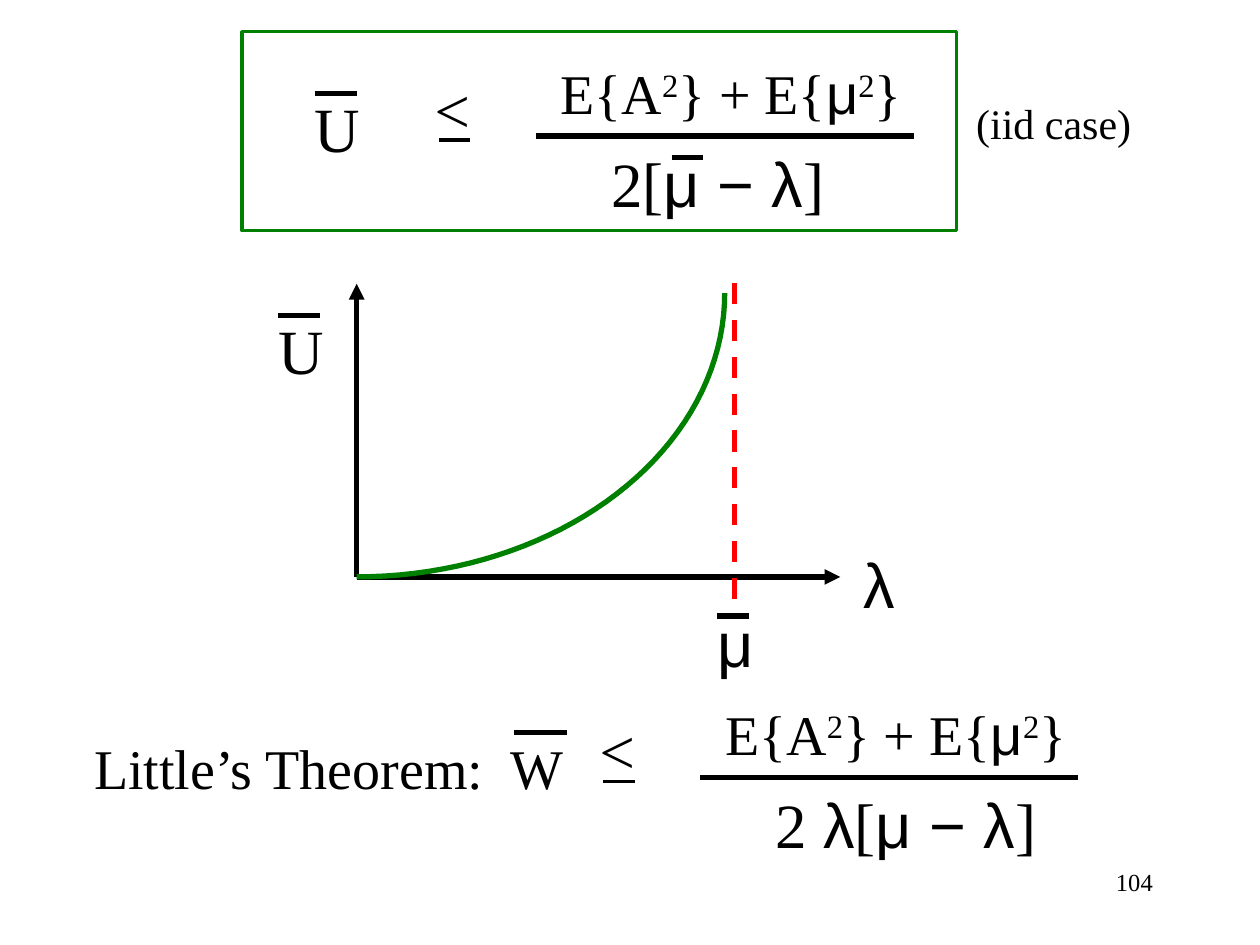
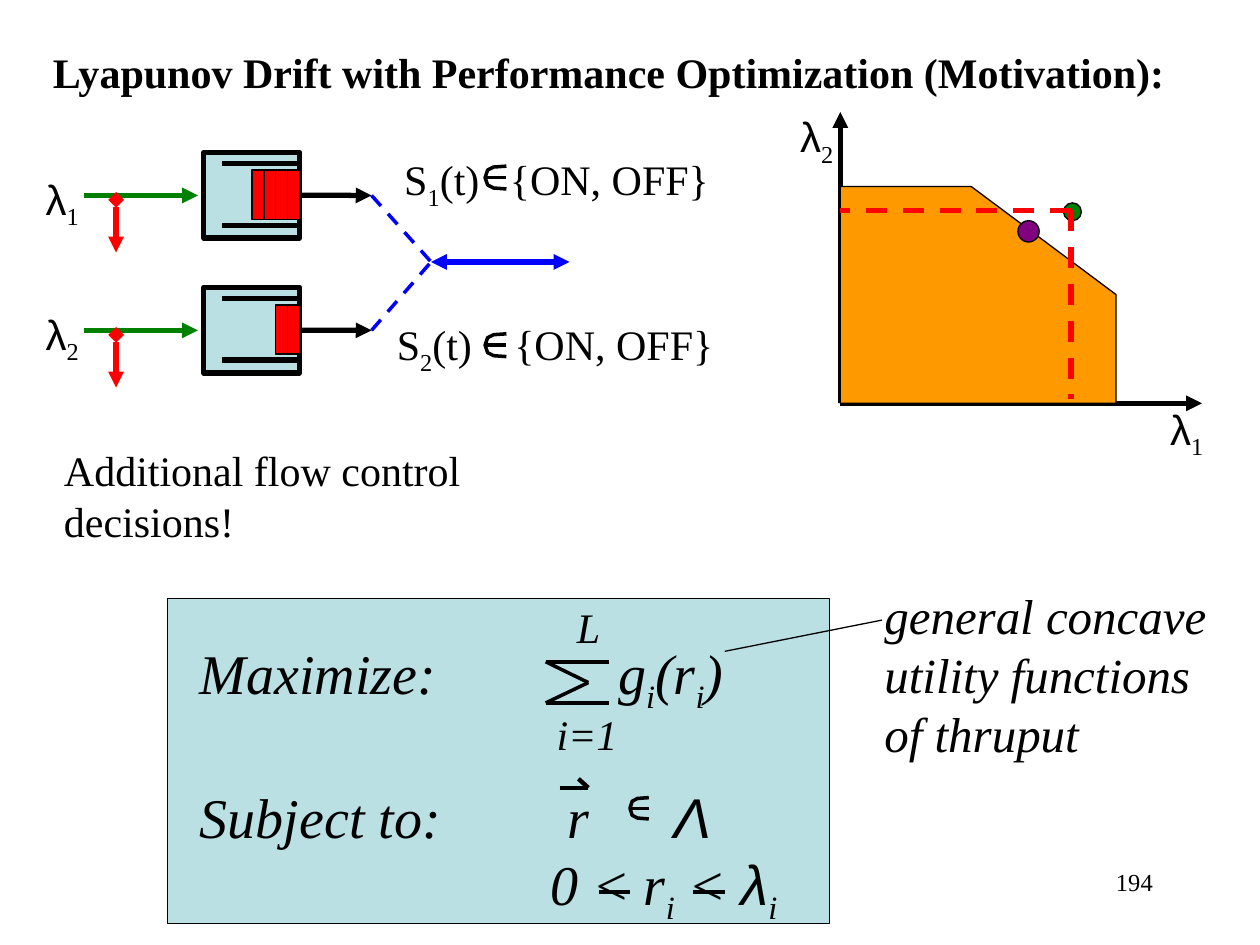
from dataclasses import dataclass
from math import cos, pi, sin

from lxml.etree import SubElement
from pptx import Presentation
from pptx.dml.color import RGBColor
from pptx.enum.dml import MSO_LINE
from pptx.enum.shapes import MSO_CONNECTOR, MSO_SHAPE
from pptx.enum.text import MSO_ANCHOR, MSO_AUTO_SIZE, PP_ALIGN
from pptx.oxml.ns import qn
from pptx.util import Cm, Pt


@dataclass(frozen=True)
class Theme:
    black: RGBColor = RGBColor(0, 0, 0)
    green: RGBColor = RGBColor(0, 128, 0)
    red: RGBColor = RGBColor(255, 0, 0)
    blue: RGBColor = RGBColor(0, 0, 255)
    pale: RGBColor = RGBColor(0xBB, 0xE0, 0xE3)
    orange: RGBColor = RGBColor(0xFF, 0x99, 0)
    purple: RGBColor = RGBColor(128, 0, 128)
    serif: str = "Times New Roman"
    sans: str = "Arial"
    math: int = 36
    large: int = 32
    note: int = 28
    body: int = 24
    small: int = 14
    thick: float = 3
    mid: float = 2
    thin: float = 0.75


theme = Theme()


def rule(slide, x1, y1, x2, y2, color=theme.black, width=theme.thick,
         dash=False, head=None, tail=None):
    line = slide.shapes.add_connector(
        MSO_CONNECTOR.STRAIGHT, Cm(x1), Cm(y1), Cm(x2), Cm(y2))
    line.line.color.rgb = color
    line.line.width = Pt(width)
    if dash:
        line.line.dash_style = MSO_LINE.DASH
    props = line.element.spPr
    for tag, kind in (("a:headEnd", head), ("a:tailEnd", tail)):
        if kind:
            SubElement(props.find(qn("a:ln")), qn(tag), type=kind)
    SubElement(props, qn("a:effectLst"))
    return line


def write(slide, x, y, w, h, lines, size, italic=False, wrap=False, tabs=()):
    box = slide.shapes.add_textbox(Cm(x), Cm(y), Cm(w), Cm(h))
    frame = box.text_frame
    frame.word_wrap = wrap or bool(tabs)
    for i, line in enumerate(lines.split("\n")):
        para = frame.paragraphs[0] if i == 0 else frame.add_paragraph()
        if tabs and tabs[i]:
            stops = SubElement(para._p.get_or_add_pPr(), qn("a:tabLst"))
            for stop in tabs[i]:
                SubElement(stops, qn("a:tab"), pos=str(Cm(stop)), algn="l")
        for part in line.split("|"):
            run = para.add_run()
            run.text = part.lstrip("^_")
            font = run.font
            font.size = Pt(size)
            font.italic = italic
            font.color.rgb = theme.black
            font.name = theme.sans if set(part) & set("μλΛ") else theme.serif
            if part[0] in "^_":
                level = "30000" if part[0] == "^" else "-25000"
                run._r.get_or_add_rPr().set("baseline", level)
    return box


deck = Presentation()
deck.slide_width, deck.slide_height = Cm(25.4), Cm(19.05)
bound = deck.slides.add_slide(deck.slide_layouts[6])
drift = deck.slides.add_slide(deck.slide_layouts[5])
looks = []

for x, y, below, wide in ((10.8, 2.74, "2[|μ − λ|]", 5.11),
                          (14.12, 15.67, "2 |λ|[|μ − λ|]", 6.12)):
    rule(bound, x, y, x + 7.62, y)
    write(bound, x + 0.25, y - 1.69, 8.5, 1.63,
          "E{A|^2|} + E{|μ|^2|}", theme.large, wrap=True)
    write(bound, x + 1.27, y + 0.05, wide + 1, 1.78, below, theme.math,
          wrap=True)
    sign = write(bound, x - 2.29, y - 1.28, 1.22, 1.78, ">", theme.math)
    sign.rotation = 180
    rule(bound, x - 1.96, y + 0.08, x - 1.32, y + 0.08, width=theme.mid)

for x, y in ((6.1, 1.68), (5.36, 6.15)):
    write(bound, x, y, 1.42, 1.78, "U", theme.math)
    rule(bound, x + 0.25, y + 0.21, x + 1.09, y + 0.21)

write(bound, 19.43, 1.85, 4.2, 1.27, "(iid case)", theme.body, wrap=True)
write(bound, 1.65, 14.66, 10.6, 1.63, "Little’s Theorem:\tW", theme.large,
      tabs=[(8.4,)])
write(bound, 17.15, 10.87, 1.19, 1.78, "λ", theme.math)
write(bound, 14.22, 12.07, 1.24, 1.78, "μ", theme.math)
for x1, x2, y in ((10.36, 11.43, 14.76), (13.54, 14.17, 3.18),
                  (14.45, 15.09, 12.42)):
    rule(bound, x1, y, x2, y)

left, base = 7.19, 11.63
rule(bound, left, base, 16.94, base, tail="triangle")
rule(bound, left, base, left, 5.72, tail="triangle")
rule(bound, 14.81, 12.07, 14.81, 5.51, theme.red, dash=True)
steps = 40
angles = [pi / 2 * i / steps for i in range(1, steps + 1)]
pen = bound.shapes.build_freeform(Cm(left), Cm(base))
pen.add_line_segments(
    [(Cm(left + 7.42 * sin(a)), Cm(base - 5.72 * (1 - cos(a))))
     for a in angles], close=False)
looks.append((pen.convert_to_shape(), None, theme.green, theme.thick))
frame = bound.shapes.add_shape(
    MSO_SHAPE.RECTANGLE, Cm(4.88), Cm(0.64), Cm(14.4), Cm(4.01))
looks.append((frame, None, theme.green, theme.mid))

title = drift.shapes.title
title.left, title.top, title.width, title.height = (
    Cm(0.81), Cm(0.81), Cm(22.96), Cm(1.27))
text = title.text_frame
text.text = "Lyapunov Drift with Performance Optimization (Motivation):"
text.auto_size = MSO_AUTO_SIZE.NONE
text.vertical_anchor = MSO_ANCHOR.TOP
text.word_wrap = False
text.paragraphs[0].alignment = PP_ALIGN.LEFT
font = text.paragraphs[0].runs[0].font
font.name, font.size, font.bold = theme.serif, Pt(theme.body), True
font.color.rgb = theme.black

edge, meet = 6.04, (8.69, 5.28)
for num, top, count, x, y, stop in ((1, 3.07, 4, 7.9, 2.97, 2.13),
                                    (2, 5.79, 2, 7.75, 6.3, 2.37)):
    mid = top + 0.87
    queue = drift.shapes.add_shape(
        MSO_SHAPE.RECTANGLE, Cm(4.11), Cm(top), Cm(1.93), Cm(1.73))
    looks.append((queue, theme.pale, theme.black, theme.thick))
    pen = drift.shapes.build_freeform(Cm(4.47), Cm(top + 0.23))
    pen.add_line_segments(
        [(Cm(edge), Cm(top + 0.23)), (Cm(edge), Cm(top + 1.47)),
         (Cm(4.47), Cm(top + 1.47))], close=False)
    looks.append((pen.convert_to_shape(), None, theme.black, theme.thick))
    for i in range(1, count + 1):
        packet = drift.shapes.add_shape(
            MSO_SHAPE.RECTANGLE, Cm(edge - 0.24 * i), Cm(top + 0.36),
            Cm(0.24), Cm(0.99))
        looks.append((packet, theme.red, theme.black, theme.thin))
    serve = rule(drift, edge, mid, 7.49, mid, tail="triangle")
    serve.begin_connect(queue, 3)
    rule(drift, 1.7, mid, 3.99, mid, theme.green, tail="triangle")
    rule(drift, 2.34, top + 0.96, 2.34, top + 2.02, theme.red,
         head="diamond", tail="triangle")
    rule(drift, 7.49, mid, *meet, theme.blue, theme.mid, dash=True)
    write(drift, 0.67, top + 0.3, 1.22, 1.42, f"λ|_{num}", theme.body)
    write(drift, x, y, 7.4, 1.42, f"S|_{num}|(t)\t{{ON, OFF}}", theme.body,
          tabs=[(stop,)])
rule(drift, *meet, 11.48, meet[1], theme.blue,
     head="triangle", tail="triangle")
write(drift, 1.04, 8.84, 9, 2.3, "Additional flow control decisions!",
      theme.body, wrap=True)

goal = drift.shapes.add_shape(
    MSO_SHAPE.RECTANGLE, Cm(3.38), Cm(12.07), Cm(13.34), Cm(6.55))
looks.append((goal, theme.pale, theme.black, theme.thin))
model = write(
    drift, 3.78, 12.75, 13.2, 6.05,
    "Maximize:\tg|_i|(r|_i|)\nSubject to:\tr\t|Λ\n\t0 < r|_i| < |λ|_i",
    theme.large, italic=True, tabs=[(8.43,), (7.42, 9.55), (7.06,)])
model.text_frame.paragraphs[1].space_before = Pt(38.5)

for x, y, w, h in ((9.78, 3.35, 0.43, 0.46), (9.78, 6.73, 0.43, 0.46),
                   (12.7, 16.08, 0.38, 0.43)):
    pen = drift.shapes.build_freeform(Cm(x + w), Cm(y))
    pen.add_line_segments(
        [(Cm(x + w * u), Cm(y + h * v)) for u, v in (
            (0.4, 0.04), (0.12, 0.17), (0, 0.5), (0.12, 0.83),
            (0.4, 0.96), (1, 1))], close=False)
    looks.append((pen.convert_to_shape(), None, theme.black, theme.mid))
    rule(drift, x, y + h / 2, x + w, y + h / 2, width=theme.mid)

for ends in ((11.28, 15.88, 11.86, 15.88), (11.66, 15.7, 11.86, 15.88)):
    rule(drift, *ends, width=2.5)
for y in (13.34, 14.17):
    rule(drift, 11, y, 12.27, y, width=theme.mid)
    rule(drift, 11, y, 11.86, 13.76, width=theme.mid)
for x in (12.07, 13.97):
    rule(drift, x, 17.98, x + 0.64, 17.98, width=theme.mid)
write(drift, 10.97, 14.15, 1.73, 1.27, "i=1", theme.body, italic=True)
write(drift, 11.38, 12.01, 0.97, 1.27, "L", theme.body, italic=True)
rule(drift, 14.61, 13.13, 17.78, 12.5, width=theme.thin)
write(drift, 17.58, 11.68, 7.5, 3.81,
      "general concave\nutility functions\nof thruput", theme.note,
      italic=True, wrap=True)

left, base = 16.94, 8.13
rule(drift, left, base, left, 2.26, tail="triangle")
rule(drift, left, base, 24.23, base, tail="triangle")
pen = drift.shapes.build_freeform(Cm(left), Cm(base))
pen.add_line_segments(
    [(Cm(x), Cm(y)) for x, y in (
        (left, 3.76), (19.58, 3.76), (22.5, 5.94), (22.5, base))], close=True)
looks.append((pen.convert_to_shape(), theme.orange, theme.black, theme.thin))
write(drift, 15.88, 2.11, 1.42, 1.42, "λ|_2", theme.body)
write(drift, 23.34, 8, 1.42, 1.42, "λ|_1", theme.body)
for x, y, size, color in ((21.44, 4.09, 0.36, theme.green),
                          (20.52, 4.45, 0.43, theme.purple)):
    dot = drift.shapes.add_shape(
        MSO_SHAPE.OVAL, Cm(x), Cm(y), Cm(size), Cm(size))
    looks.append((dot, color, theme.black, theme.thin))
for x, y in ((21.59, 8.05), (left, 4.24)):
    rule(drift, 21.59, 4.24, x, y, theme.red, dash=True)

for shape, fill, color, width in looks:
    shape.shadow.inherit = False
    if fill is None:
        shape.fill.background()
    else:
        shape.fill.solid()
        shape.fill.fore_color.rgb = fill
    shape.line.color.rgb = color
    shape.line.width = Pt(width)

for slide, num in ((bound, "104"), (drift, "194")):
    page = write(slide, 18.21, 17.35, 5.28, 1.27, num, theme.small, wrap=True)
    page.text_frame.paragraphs[0].alignment = PP_ALIGN.RIGHT

deck.save("out.pptx")
